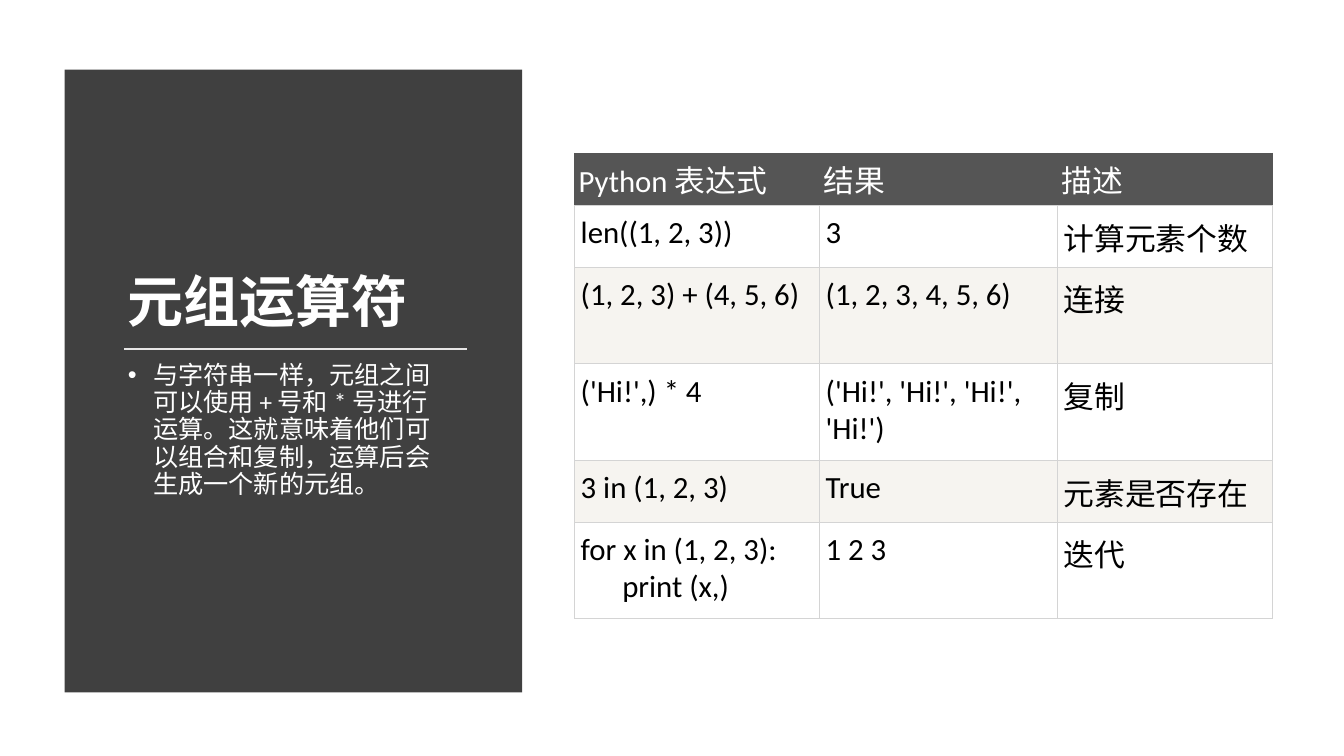
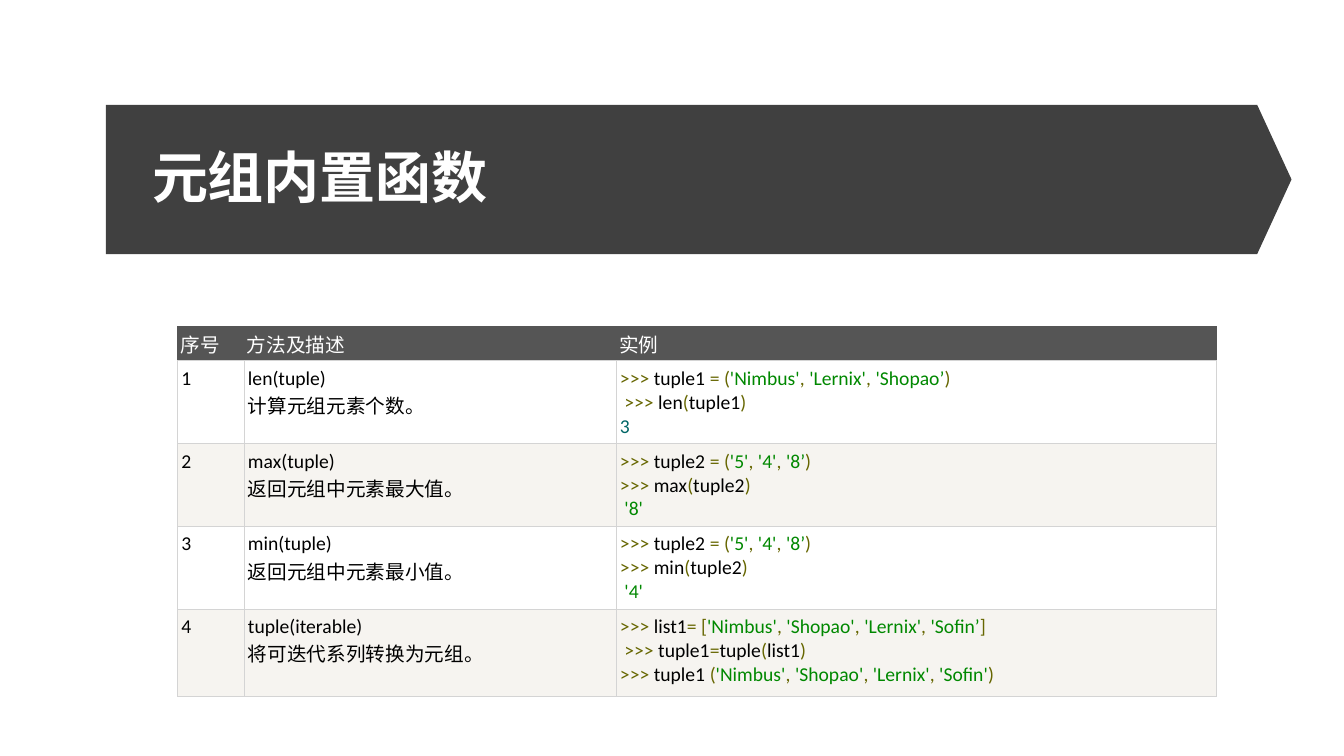
"""Build two slides on Python tuple operators and built-in tuple functions."""
from dataclasses import dataclass
from itertools import groupby

from lxml import etree
from pptx import Presentation
from pptx.dml.color import RGBColor
from pptx.enum.shapes import MSO_CONNECTOR, MSO_SHAPE
from pptx.enum.text import MSO_ANCHOR
from pptx.oxml.ns import qn
from pptx.util import Inches, Pt

RECTANGLE = MSO_SHAPE.RECTANGLE
ARROW_BAND = MSO_SHAPE.PENTAGON
STRAIGHT = MSO_CONNECTOR.STRAIGHT
TOP, MIDDLE, BOTTOM = MSO_ANCHOR.TOP, MSO_ANCHOR.MIDDLE, MSO_ANCHOR.BOTTOM
BLANK_LAYOUT = 6


@dataclass(frozen=True)
class Theme:
    font: str = "Calibri"
    band: str = "404040"
    rule: str = "E7E6E6"
    light_text: str = "FFFFFF"
    dark_text: str = "000000"
    header: str = "555555"
    border: str = "D4D4D4"
    stripes: tuple = ("FFFFFF", "F6F4F0")
    operator: str = "666600"
    string: str = "008800"
    number: str = "006666"
    title_size: int = 40
    body_size: int = 18
    large_table_size: int = 22
    small_table_size: int = 14
    border_width: float = 0.75


def code_runs(line, theme):
    """Split a line of code into (text, colour) pairs."""
    colours, quoted = [], False
    for char in line:
        is_quote = char in "'’"
        if quoted or is_quote:
            colours.append(theme.string)
        elif char in "<>=()[],":
            colours.append(theme.operator)
        elif line.isdigit():
            colours.append(theme.number)
        else:
            colours.append(theme.dark_text)
        quoted = quoted != is_quote
    for colour, pairs in groupby(zip(line, colours), key=lambda pair: pair[1]):
        yield "".join(char for char, _ in pairs), colour


class Deck:
    """Hold the theme and the current slide, and draw each kind of element."""

    def __init__(self, theme):
        self.theme = theme
        self.presentation = Presentation()
        self.presentation.slide_width = Inches(13.33)
        self.presentation.slide_height = Inches(7.5)
        self.slide = None

    def new_slide(self):
        layout = self.presentation.slide_layouts[BLANK_LAYOUT]
        self.slide = self.presentation.slides.add_slide(layout)

    def style(self, run, size, colour, bold=False):
        run.font.name = self.theme.font
        run.font.size = Pt(size)
        run.font.bold = bold
        run.font.color.rgb = RGBColor.from_string(colour)

    def band(self, preset, left, top, width, height):
        band = self.slide.shapes.add_shape(
            preset, Inches(left), Inches(top), Inches(width), Inches(height))
        band.shadow.inherit = False
        band.fill.solid()
        band.fill.fore_color.rgb = RGBColor.from_string(self.theme.band)
        band.line.fill.background()
        return band

    def rule(self, left, right, y):
        rule = self.slide.shapes.add_connector(
            STRAIGHT, Inches(left), Inches(y), Inches(right), Inches(y))
        rule.line.color.rgb = RGBColor.from_string(self.theme.rule)
        rule.line.width = Pt(1.75)
        etree.SubElement(rule._element.spPr, qn("a:effectLst"))

    def text(self, text, left, top, width, height, size, anchor=TOP, bold=False):
        frame = self.slide.shapes.add_textbox(
            Inches(left), Inches(top), Inches(width), Inches(height)).text_frame
        frame.word_wrap = True
        frame.vertical_anchor = anchor
        frame.text = text
        paragraph = frame.paragraphs[0]
        paragraph.line_spacing = 0.9
        self.style(paragraph.runs[0], size, self.theme.light_text, bold)
        return frame

    def title(self, text, left, top, width, height, anchor):
        self.text(text, left, top, width, height, self.theme.title_size, anchor, True)

    def bullet(self, text, left, top, width, height):
        frame = self.text(text, left, top, width, height, self.theme.body_size)
        frame.margin_right = Inches(0.2)
        paragraph = frame.paragraphs[0]
        paragraph.space_before = Pt(10)
        properties = paragraph._p.get_or_add_pPr()
        properties.set("marL", str(Inches(0.25)))
        properties.set("indent", str(-Inches(0.25)))
        etree.SubElement(properties, qn("a:buFont"), typeface="Arial")
        etree.SubElement(properties, qn("a:buChar"), char="•")

    def borders(self, cell, colour):
        properties = cell._tc.get_or_add_tcPr()
        edges = {"lnL": colour, "lnR": colour, "lnT": colour, "lnB": self.theme.border}
        for edge, edge_colour in edges.items():
            line = etree.SubElement(
                properties, qn(f"a:{edge}"), w=str(Pt(self.theme.border_width)))
            fill = etree.SubElement(line, qn("a:solidFill"))
            etree.SubElement(fill, qn("a:srgbClr"), val=edge_colour)

    def cell(self, cell, text, size, row, margins, is_code):
        theme = self.theme
        is_header = row == 0
        fill = theme.header if is_header else theme.stripes[(row - 1) % 2]
        colour = theme.light_text if is_header else theme.dark_text
        self.borders(cell, theme.header if is_header else theme.border)
        cell.fill.solid()
        cell.fill.fore_color.rgb = RGBColor.from_string(fill)
        side, end = margins
        cell.margin_left = cell.margin_right = Inches(side)
        cell.margin_top = cell.margin_bottom = Inches(end)
        frame = cell.text_frame
        frame.text = text
        for paragraph in frame.paragraphs:
            if is_code:
                pieces = list(code_runs(paragraph.text, theme))
                paragraph.text = ""
                for piece, piece_colour in pieces:
                    run = paragraph.add_run()
                    run.text = piece
                    self.style(run, size, piece_colour)
            else:
                for run in paragraph.runs:
                    self.style(run, size, colour)

    def table(self, rows, left, top, widths, heights, size,
              header_margin, body_margins, code_column=None):
        table = self.slide.shapes.add_table(
            len(rows), len(widths), Inches(left), Inches(top),
            Inches(sum(widths)), Inches(sum(heights))).table
        table.horz_banding = False
        for column, width in zip(table.columns, widths):
            column.width = Inches(width)
        for index, (texts, height) in enumerate(zip(rows, heights)):
            table.rows[index].height = Inches(height)
            margins = body_margins if index else (header_margin, header_margin)
            for column, text in enumerate(texts):
                is_code = index > 0 and column == code_column
                self.cell(table.cell(index, column), text, size, index, margins, is_code)


OPERATORS = [
    ("Python 表达式", "结果", "描述"),
    ("len((1, 2, 3))", "3", "计算元素个数"),
    ("(1, 2, 3) + (4, 5, 6)", "(1, 2, 3, 4, 5, 6)", "连接"),
    ("('Hi!',) * 4", "('Hi!', 'Hi!', 'Hi!', 'Hi!')", "复制"),
    ("3 in (1, 2, 3)", "True", "元素是否存在"),
    ("for x in (1, 2, 3):\n      print (x,)", "1 2 3", "迭代"),
]

FUNCTIONS = [
    ("序号", "方法及描述", "实例"),
    ("1", "len(tuple)\v计算元组元素个数。",
     ">>> tuple1 = ('Nimbus', 'Lernix', 'Shopao’)\n >>> len(tuple1)\n3"),
    ("2", "max(tuple)\v返回元组中元素最大值。",
     ">>> tuple2 = ('5', '4', '8’)\n>>> max(tuple2)\n '8'"),
    ("3", "min(tuple)\v返回元组中元素最小值。",
     ">>> tuple2 = ('5', '4', '8’)\n>>> min(tuple2)\n '4'"),
    ("4", "tuple(iterable)\v将可迭代系列转换为元组。",
     ">>> list1= ['Nimbus', 'Shopao', 'Lernix', 'Sofin’]\n"
     " >>> tuple1=tuple(list1)\n"
     ">>> tuple1 ('Nimbus', 'Shopao', 'Lernix', 'Sofin')"),
]


def operators_slide(deck):
    deck.new_slide()
    deck.band(RECTANGLE, 0.64, 0.69, 4.54, 6.18)
    deck.title("元组运算符", 1.17, 1.11, 3.44, 2.26, BOTTOM)
    deck.rule(1.23, 4.63, 3.46)
    deck.bullet("与字符串一样，元组之间可以使用 + 号和 * 号进行运算。"
                "这就意味着他们可以组合和复制，运算后会生成一个新的元组。",
                1.17, 3.55, 3.44, 2.44)
    deck.table(OPERATORS, 5.7, 1.52, (2.43, 2.36, 2.13),
               (0.52, 0.61, 0.96, 0.96, 0.61, 0.96),
               deck.theme.large_table_size, 0.04, (0.06, 0.09))


def functions_slide(deck):
    deck.new_slide()
    band = deck.band(ARROW_BAND, 1.05, 1.04, 11.76, 1.48)
    band.adjustments[0] = 0.23
    deck.title("元组内置函数", 1.41, 1.32, 10.96, 0.94, MIDDLE)
    deck.table(FUNCTIONS, 1.76, 3.24, (0.66, 3.69, 5.96),
               (0.34, 0.82, 0.82, 0.82, 0.87),
               deck.theme.small_table_size, 0.03, (0.04, 0.06), code_column=2)


def main():
    deck = Deck(Theme())
    operators_slide(deck)
    functions_slide(deck)
    deck.presentation.save("out.pptx")


if __name__ == "__main__":
    main()
